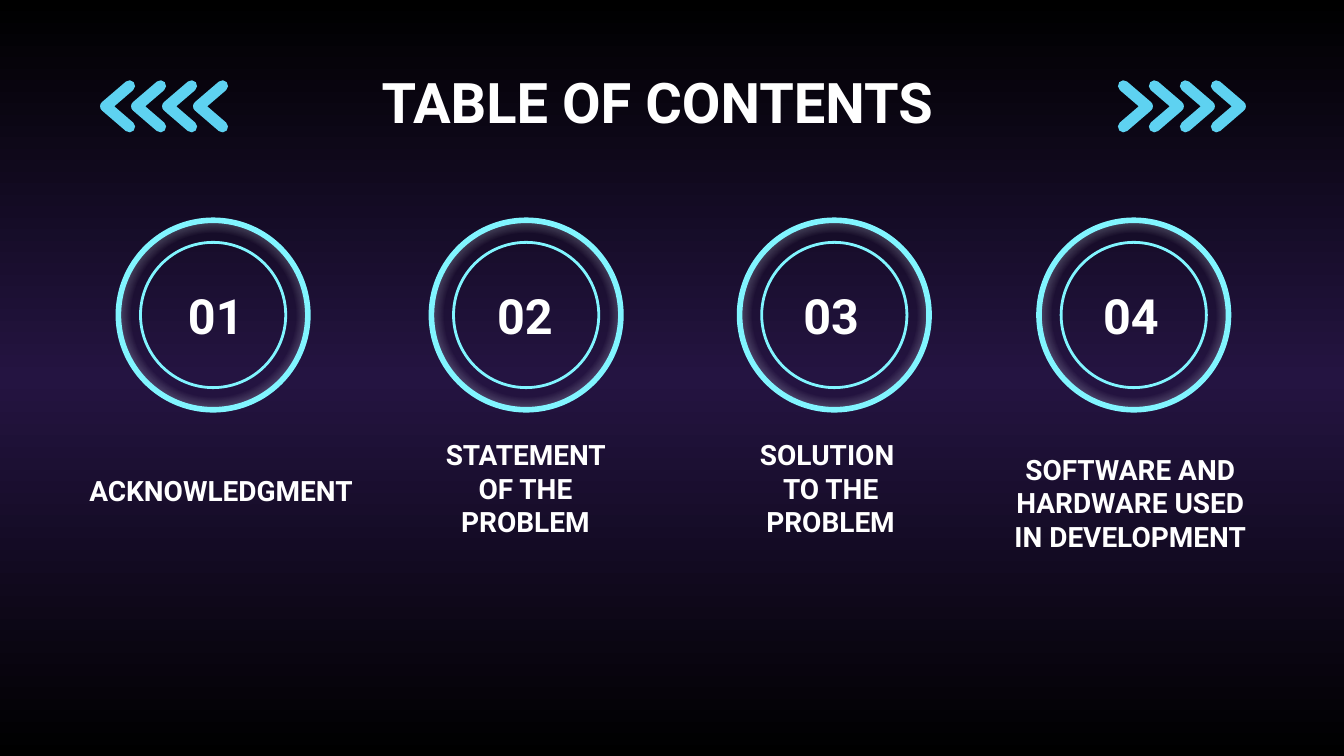
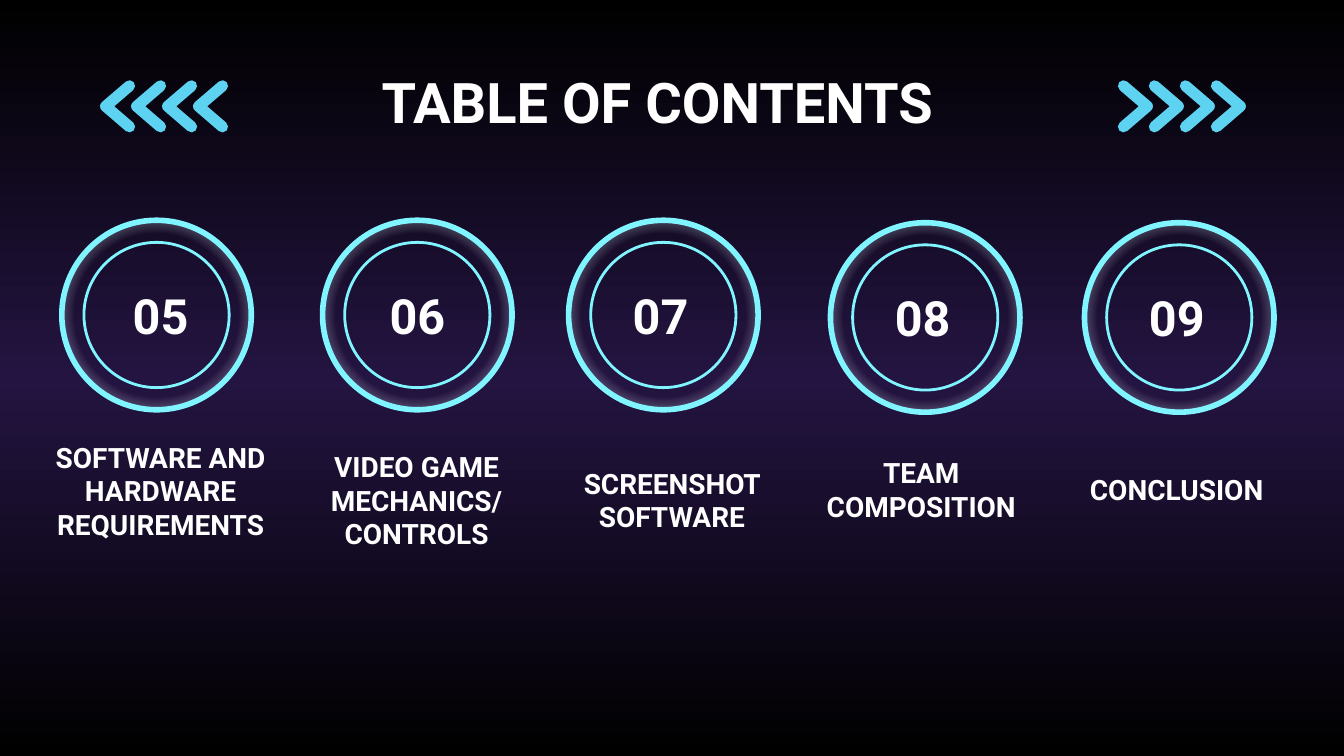
"""Build two table-of-contents slides with numbered neon rings."""
import pptx
import pptx.dml.color
import pptx.enum.shapes
import pptx.enum.text
import pptx.oxml
import pptx.oxml.ns
import pptx.util

Pt = pptx.util.Pt
RGB = pptx.dml.color.RGBColor.from_string
Align = pptx.enum.text.PP_ALIGN
Anchor = pptx.enum.text.MSO_ANCHOR
qn = pptx.oxml.ns.qn

COLORS = {
    "edge": "000000",
    "glow": "241441",
    "ring": "81F5FF",
    "chevron": "5ED2F1",
    "text": "FFFFFF",
}
TITLE = {"size": Pt(30), "bold": True, "name": "Roboto"}
NUMBER = {**TITLE, "size": Pt(26)}
LABEL = {**TITLE, "size": Pt(15)}
FRAME = {
    "word_wrap": True,
    "auto_size": pptx.enum.text.MSO_AUTO_SIZE.NONE,
    **{f"margin_{side}": Pt(7.2) for side in ("left", "top", "right", "bottom")},
}

BACKDROP = [(0, "edge", 100), (50, "glow", 100), (100, "edge", 100)]
HALO = [(0, "text", 0), (61, "text", 0), (100, "chevron", 100)]
VERTICAL = '<a:lin ang="5400000" scaled="0"/>'
RADIAL = '<a:path path="circle"><a:fillToRect l="50000" t="50000" r="50000" b="50000"/></a:path>'

OUTER, INNER = 101.5, 77.8
CHEVRON_STEP, CHEVRON_WIDTH = 16.6, 12.75
CHEVRON_TOP, CHEVRON_RISE = 46, 10.95

# number, ring left, ring top, number left, label, label left, label top, label width
PAGES = [
    [
        ("01", 63.4, 118, 81.4, "ACKNOWLEDGMENT", 36, 239.8, 164.9),
        ("02", 231.1, 118, 247, "STATEMENT OF THE PROBLEM", 223.9, 238.3, 115.2),
        ("03", 396.2, 118, 411.1, "SOLUTION \vTO THE PROBLEM", 387.4, 238.3, 115.2),
        ("04", 556.6, 118, 571.7, "SOFTWARE AND HARDWARE USED IN DEVELOPMENT", 535.7, 246.2, 139.7),
    ],
    [
        ("05", 33.1, 118, 51.8, "SOFTWARE AND HARDWARE REQUIREMENTS", 3.6, 239.8, 164.9),
        ("06", 172.8, 118, 189.4, "VIDEO GAME MECHANICS/CONTROLS", 165.6, 244.8, 115.2),
        ("07", 304.6, 118, 319.7, "SCREENSHOT SOFTWARE", 302.4, 244.8, 115.2),
        ("08", 444.9, 119.3, 460.1, "TEAM COMPOSITION", 431.3, 239, 124.6),
        ("09", 581, 119.3, 596.2, "CONCLUSION", 568.1, 239, 124.6),
    ],
]


def paint_gradient(fill, owner, stops, direction):
    fill.gradient()
    old = next(owner.iter(qn("a:gradFill")))
    marks = "".join(
        f'<a:gs pos="{place * 1000}"><a:srgbClr val="{COLORS[color]}">'
        f'<a:alpha val="{opacity * 1000}"/></a:srgbClr></a:gs>'
        for place, color, opacity in stops
    )
    new = pptx.oxml.parse_xml(
        f'<a:gradFill {pptx.oxml.ns.nsdecls("a")} rotWithShape="1">'
        f"<a:gsLst>{marks}</a:gsLst>{direction}</a:gradFill>"
    )
    old.getparent().replace(old, new)


def write_text(box, place, text, style, align=Align.CENTER, anchor=Anchor.MIDDLE):
    box.left, box.top, box.width, box.height = map(Pt, place)
    frame = box.text_frame
    for key, value in {**FRAME, "vertical_anchor": anchor}.items():
        setattr(frame, key, value)
    frame.text = text
    para = frame.paragraphs[0]
    para.alignment = align
    for span in para.runs:
        span.font.color.rgb = RGB(COLORS["text"])
        for key, value in style.items():
            setattr(span.font, key, value)


deck = pptx.Presentation()
deck.slide_width, deck.slide_height = Pt(720), Pt(405)
master = deck.slide_master
paint_gradient(master.background.fill, master.element, BACKDROP, VERTICAL)

for entries in PAGES:
    page = deck.slides.add_slide(deck.slide_layouts[5])
    write_text(page.shapes.title, (197.3, 28.8, 325.4, 41), "TABLE OF CONTENTS", TITLE,
               Align.LEFT, Anchor.TOP)

    for number, left, top, number_left, label, label_left, label_top, label_width in entries:
        for size, weight in ((INNER, 1.5), (OUTER, 3)):
            inset = (OUTER - size) / 2
            ring = page.shapes.add_shape(
                pptx.enum.shapes.MSO_SHAPE.OVAL,
                Pt(left + inset), Pt(top + inset), Pt(size), Pt(size))
            ring.shadow.inherit = False
            ring.line.color.rgb = RGB(COLORS["ring"])
            ring.line.width = Pt(weight)
            if size == OUTER:
                paint_gradient(ring.fill, ring.element, HALO, RADIAL)
            else:
                ring.fill.background()
        for place, text, style in (
            ((number_left, top + 30.1, 68.4, 41), number, NUMBER),
            ((label_left, label_top, label_width, 46.1), label, LABEL),
        ):
            write_text(page.shapes.add_textbox(0, 0, 0, 0), place, text, style)

    for first_open, reach in ((601.9, CHEVRON_WIDTH), (69.4, -CHEVRON_WIDTH)):
        group = page.shapes.add_group_shape()
        for index in range(4):
            open_x = first_open + index * CHEVRON_STEP
            builder = group.shapes.build_freeform(
                Pt(open_x), Pt(CHEVRON_TOP + 2 * CHEVRON_RISE))
            builder.add_line_segments([
                (Pt(open_x + reach), Pt(CHEVRON_TOP + CHEVRON_RISE)),
                (Pt(open_x), Pt(CHEVRON_TOP)),
            ], close=False)
            chevron = builder.convert_to_shape()
            chevron.shadow.inherit = False
            chevron.fill.background()
            chevron.line.color.rgb = RGB(COLORS["chevron"])
            chevron.line.width = Pt(6)
            outline = chevron.line._get_or_add_ln()
            outline.set("cap", "rnd")
            outline.append(pptx.oxml.parse_xml(f'<a:round {pptx.oxml.ns.nsdecls("a")}/>'))

deck.save("out.pptx")
